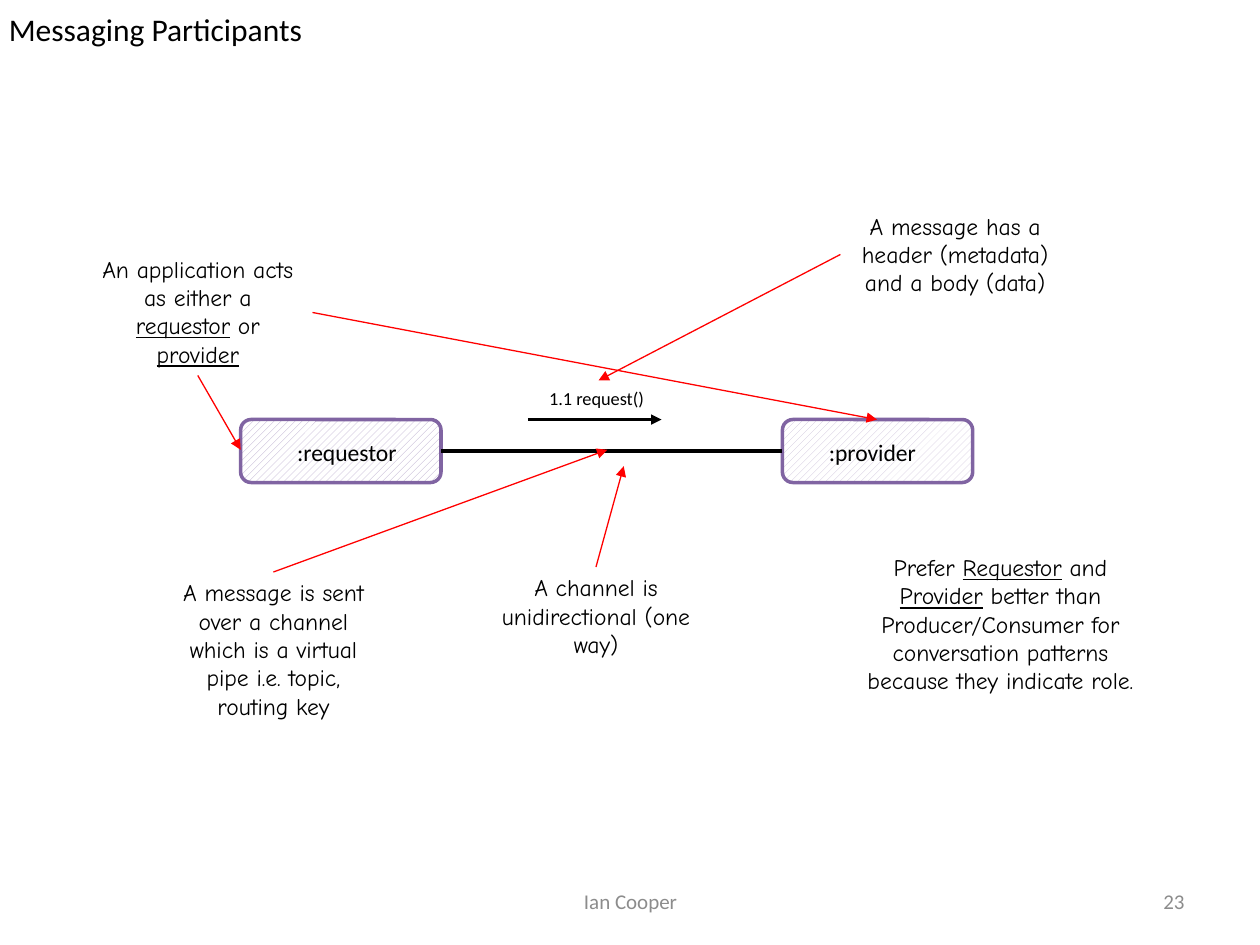
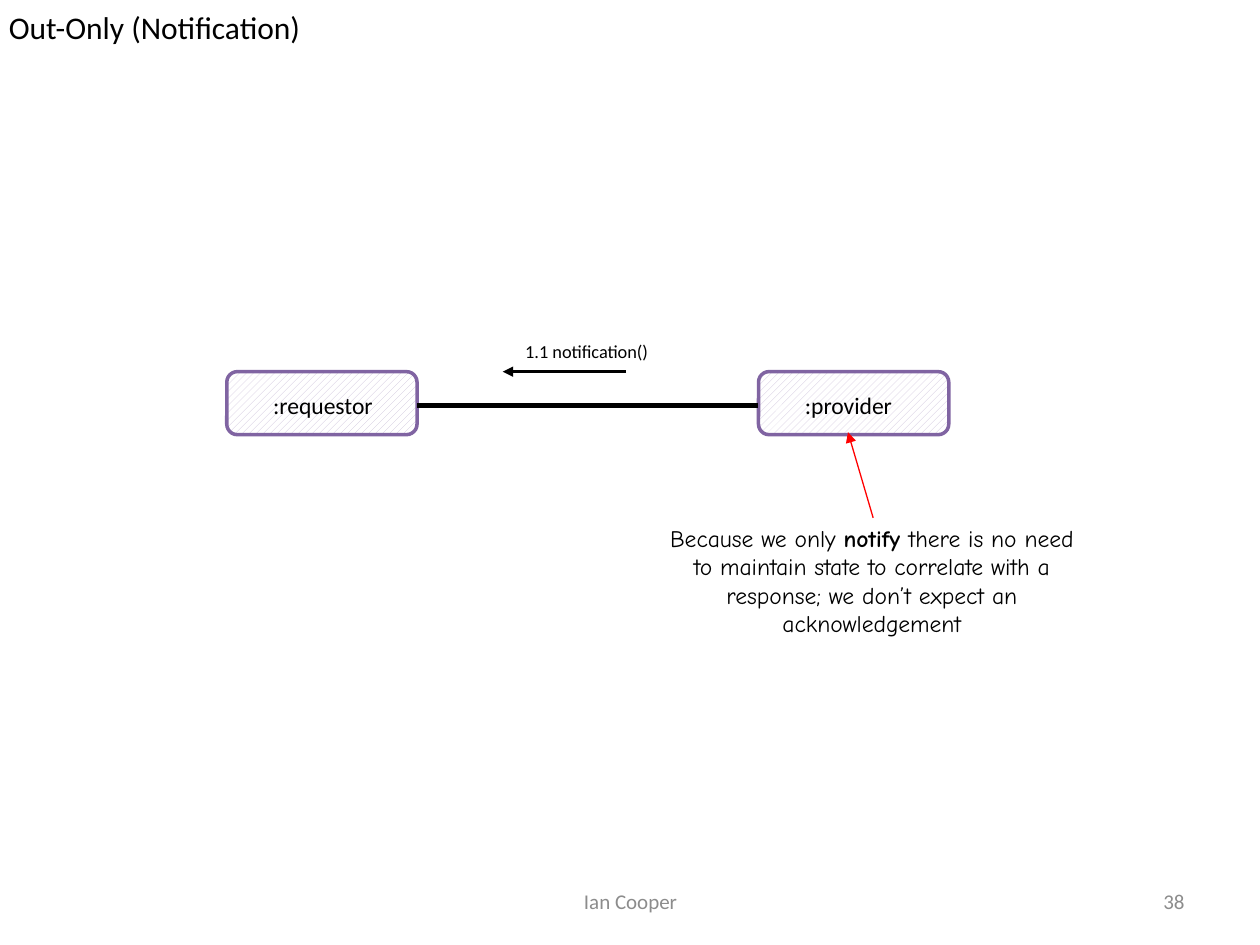
import pptx
import pptx.dml.color
import pptx.enum.dml
import pptx.enum.shapes
import pptx.enum.text
import pptx.oxml.ns
import pptx.oxml.xmlchemy
import pptx.util
from pptx.util import Inches

RGBColor = pptx.dml.color.RGBColor
BLACK = RGBColor(0x00, 0x00, 0x00)
WHITE = RGBColor(0xFF, 0xFF, 0xFF)
GREY = RGBColor(0x8C, 0x8C, 0x8C)
RED = RGBColor(0xFF, 0x00, 0x00)
PURPLE = RGBColor(0x80, 0x64, 0xA2)
LILAC = RGBColor(0xCC, 0xC1, 0xDA)
DARK_LILAC = RGBColor(0xB3, 0xA2, 0xC7)

PLAIN, UNDERLINE, BOLD = "plain", "underline", "bold"
ALIGN = pptx.enum.text.PP_ALIGN
ANCHOR = pptx.enum.text.MSO_ANCHOR


class Deck:
    BODY_FONT = "Calibri"
    NOTE_FONT = "Comic Neue"
    BOX_HEIGHT = 0.5

    def __init__(self):
        self.prs = pptx.Presentation()
        self.prs.slide_width = Inches(10)
        self.prs.slide_height = Inches(7.5)
        self.s = None

    def slide(self, title, number, title_top):
        """Start a slide with its title, footer and number."""
        self.s = self.prs.slides.add_slide(self.prs.slide_layouts[6])
        self.text(0, title_top, 10, 0.45, title, 18, inset=0.07)
        footer = dict(size=12, color=GREY, anchor=ANCHOR.MIDDLE)
        self.text(3.42, 6.95, 3.17, 0.4, "Ian Cooper", align=ALIGN.CENTER, **footer)
        self.text(7.17, 6.95, 2.33, 0.4, str(number), align=ALIGN.RIGHT, **footer)

    def text(self, x, y, w, h, runs, size, font=BODY_FONT, color=BLACK,
             align=ALIGN.LEFT, anchor=ANCHOR.TOP, inset=None):
        """Text box; runs is a string or a list of (text, style) pairs."""
        sp = self.s.shapes.add_textbox(Inches(x), Inches(y), Inches(w), Inches(h))
        tf = sp.text_frame
        tf.word_wrap = True
        tf.vertical_anchor = anchor
        if inset is not None:
            tf.margin_left = tf.margin_right = Inches(inset)
            tf.margin_top = tf.margin_bottom = Inches(inset)
        p = tf.paragraphs[0]
        p.alignment = align
        for text, style in [(runs, PLAIN)] if isinstance(runs, str) else runs:
            r = p.add_run()
            r.text = text
            r.font.name = font
            r.font.size = pptx.util.Pt(size)
            r.font.color.rgb = color
            r.font.underline = style == UNDERLINE
            r.font.bold = style == BOLD

    def note(self, x, y, w, h, runs):
        """Centred handwritten annotation."""
        self.text(x, y, w, h, runs, 13.5, self.NOTE_FONT, align=ALIGN.CENTER)

    def participant(self, x, y, label, label_width, w=1.51, indent=0.27, hatch=LILAC):
        """Hatched rounded box with its role name."""
        sp = self.s.shapes.add_shape(
            pptx.enum.shapes.MSO_SHAPE.ROUNDED_RECTANGLE,
            Inches(x), Inches(y), Inches(w), Inches(self.BOX_HEIGHT))
        sp.shadow.inherit = False
        sp.fill.patterned()
        sp.fill.pattern = pptx.enum.dml.MSO_PATTERN.WIDE_UPWARD_DIAGONAL
        sp.fill.fore_color.rgb = hatch
        sp.fill.back_color.rgb = WHITE
        sp.line.color.rgb = PURPLE
        sp.line.width = pptx.util.Pt(2)
        self.text(x + indent, y + 0.1, label_width, 0.33, label, 13.5)

    def line(self, start, end, color=BLACK, width=2.5, arrow=False):
        """Straight line, with an arrowhead at its end if wanted."""
        sp = self.s.shapes.add_connector(
            pptx.enum.shapes.MSO_CONNECTOR.STRAIGHT,
            *(Inches(v) for v in (*start, *end)))
        sp.line.color.rgb = color
        sp.line.width = pptx.util.Pt(width)
        new_element = pptx.oxml.xmlchemy.OxmlElement
        if arrow:
            head = new_element("a:tailEnd")
            head.set("type", "triangle")
            sp._element.spPr.find(pptx.oxml.ns.qn("a:ln")).append(head)
        sp._element.spPr.append(new_element("a:effectLst"))

    def pointer(self, start, end):
        """Thin red arrow from a note to what it explains."""
        self.line(start, end, RED, 0.75, arrow=True)

    def message(self, start, end, x, y, w, label):
        """Message arrow with its call name above."""
        self.line(start, end, width=1.5, arrow=True)
        self.text(x, y, w, 0.28, label, 10.5)


def messaging_participants(deck):
    deck.slide("Messaging Participants", 23, 0.01)

    # Participants, channel and message
    deck.participant(1.91, 3.33, ":requestor", 1.09, w=1.59, indent=0.35, hatch=DARK_LILAC)
    deck.participant(6.21, 3.33, ":provider", 0.96)
    deck.line((3.5, 3.58), (6.21, 3.58))
    deck.message((4.19, 3.33), (5.25, 3.33), 4.26, 3.02, 0.98, "1.1 request()")

    # Notes
    deck.note(0.66, 1.97, 1.82, 1.01, [
        ("An application acts as either a ", PLAIN), ("requestor", UNDERLINE),
        (" or ", PLAIN), ("provider", UNDERLINE)])
    deck.note(1.26, 4.54, 1.82, 1.24,
              "A message is sent over a channel which is a virtual pipe "
              "i.e. topic, routing key")
    deck.note(6.67, 1.63, 1.82, 0.78,
              "A message has a header (metadata) and a body (data)")
    deck.note(3.82, 4.5, 1.82, 0.78, "A channel is unidirectional (one way)")
    deck.note(6.67, 4.34, 2.54, 1.24, [
        ("Prefer ", PLAIN), ("Requestor", UNDERLINE), (" and ", PLAIN),
        ("Provider", UNDERLINE),
        (" better than Producer/Consumer for conversation patterns "
         "because they indicate role.", PLAIN)])

    # Pointers from the notes
    for start, end in [
        ((1.57, 2.98), (1.91, 3.57)),
        ((2.48, 2.48), (6.96, 3.33)),
        ((2.17, 4.54), (4.82, 3.57)),
        ((6.67, 2.02), (4.75, 3.02)),
        ((4.73, 4.5), (4.95, 3.7)),
    ]:
        deck.pointer(start, end)


def out_only(deck):
    deck.slide("Out-Only (Notification)", 38, -0.01)

    # Participants, channel and message
    deck.participant(1.8, 2.95, ":requestor", 1.09)
    deck.participant(6.02, 2.95, ":provider", 0.96)
    deck.line((3.31, 3.22), (6.02, 3.22))
    deck.message((4.97, 2.95), (3.99, 2.95), 4.07, 2.65, 1.44, "1.1 notification()")

    # Note and its pointer
    deck.note(5.14, 4.11, 3.56, 1.01, [
        ("Because we only ", PLAIN), ("notify ", BOLD),
        ("there is no need to maintain state to correlate with a response; "
         "we don’t expect an acknowledgement", PLAIN)])
    deck.pointer((6.93, 4.11), (6.73, 3.43))


def main():
    deck = Deck()
    messaging_participants(deck)
    out_only(deck)
    deck.prs.save("out.pptx")


if __name__ == "__main__":
    main()
